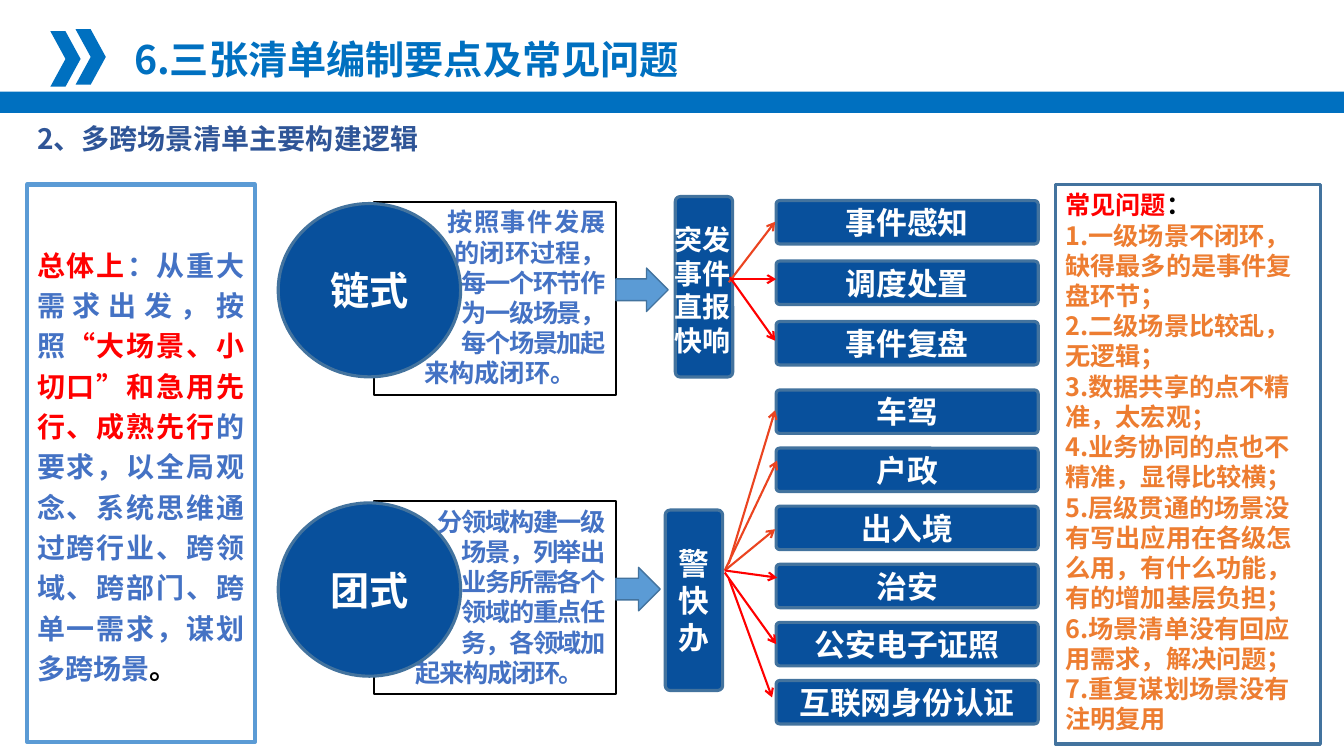
from pptx import Presentation
from pptx.dml.color import RGBColor
from pptx.enum import shapes, text
from pptx.oxml import ns
from pptx.util import Pt
from lxml import etree

FONT = "Noto Sans CJK SC"
WHITE = RGBColor(0xFF, 0xFF, 0xFF)
BLACK = RGBColor(0, 0, 0)
RED = RGBColor(0xFF, 0, 0)
VERMILION = RGBColor(0xEB, 0x44, 0x20)
ORANGE = RGBColor(0xED, 0x7D, 0x31)
BRIGHT = RGBColor(0x00, 0x70, 0xC0)
NAVY = RGBColor(0x08, 0x50, 0x9C)
STEEL = RGBColor(0x43, 0x73, 0x9E)
SKY = RGBColor(0x5B, 0x9B, 0xD5)
BLUE = RGBColor(0x44, 0x72, 0xC4)
HEADING = RGBColor(0x2F, 0x55, 0x97)

MSO = shapes.MSO_SHAPE
ALIGN = text.PP_ALIGN
ANCHOR = text.MSO_ANCHOR


def write(tf, paragraphs, size, align=ALIGN.LEFT, anchor=ANCHOR.TOP, spacing=1.0):
    frame_format = {"word_wrap": True, "auto_size": text.MSO_AUTO_SIZE.NONE,
                    "vertical_anchor": anchor}
    for name, value in frame_format.items():
        setattr(tf, name, value)
    for i, runs in enumerate(paragraphs):
        p = tf.add_paragraph() if i else tf.paragraphs[0]
        para_format = {"alignment": align, "line_spacing": spacing, "space_before": Pt(0)}
        for name, value in para_format.items():
            setattr(p, name, value)
        for words, color in runs:
            r = p.add_run()
            r.text = words
            for name, value in {"name": FONT, "size": Pt(size), "bold": True}.items():
                setattr(r.font, name, value)
            r.font.color.rgb = color
            etree.SubElement(r._r.get_or_add_rPr(), ns.qn("a:ea")).set("typeface", FONT)


def draw(kind, box, fill=None, line=None, width=2.25):
    sp = s.shapes.add_shape(kind, *map(Pt, box))
    sp.shadow.inherit = False
    if fill is None:
        sp.fill.background()
    else:
        sp.fill.solid()
        sp.fill.fore_color.rgb = fill
    if line is None:
        sp.line.fill.background()
    else:
        sp.line.color.rgb = line
        sp.line.width = Pt(width)
    if kind == MSO.ROUNDED_RECTANGLE:
        sp.adjustments[0] = 0.084
    return sp


prs = Presentation()
prs.slide_width, prs.slide_height = Pt(960), Pt(540)
s = prs.slides.add_slide(prs.slide_layouts[1])
title, problems = s.placeholders
for sp, box in ((title, (88.6, 21.6, 700, 41)), (problems, (753.8, 131.8, 189.4, 399.6))):
    for name, value in zip(("left", "top", "width", "height"), box):
        setattr(sp, name, Pt(value))

write(title.text_frame, [[("6.三张清单编制要点及常见问题", BRIGHT)]], 28)
draw(MSO.RECTANGLE, (0, 65.5, 960, 15.1), BRIGHT)
for x, y in ((36, 22.3), (54, 20.9)):
    draw(MSO.CHEVRON, (x, y, 21.6, 39.6), BRIGHT)

sp = s.shapes.add_textbox(Pt(19.4), Pt(83.5), Pt(700), Pt(31.7))
write(sp.text_frame, [[("2、多跨场景清单主要构建逻辑", HEADING)]], 20)

sp = draw(MSO.RECTANGLE, (19.4, 131.8, 162.7, 398.2), WHITE, SKY, 3)
write(sp.text_frame, [[
    ("总体上", RED),
    ("：从重大需求出发，按照", BLUE),
    ("“大场景、小切口”和急用先行、成熟先行", RED),
    ("的要求，以全局观念、系统思维通过跨行业、跨领域、跨部门、跨单一需求，谋划多跨场景", BLUE),
    ("。", BLACK),
]], 20, ALIGN.JUSTIFY, ANCHOR.MIDDLE, 1.2)

modes = [
    ("链式", 144, 37.4, 29, [("按照事件发展", 100), ("的闭环过程，", 0), ("每一个环节作", -100),
                           ("为一级场景，", -100), ("每个场景加起", -100), ("来构成闭环。", 0)]),
    ("团式", 357.8, 31.7, 23, [("分领域构建一级", -100), ("场景，列举出", -100), ("业务所需各个", -100),
                             ("领域的重点任", -100), ("务，各领域加", -100), ("起来构成闭环。", -100)]),
]
for name, top, arrow_width, indent, lines in modes:
    sp = draw(MSO.RECTANGLE, (267.1, top, 172.8, 138.2), None, BLACK, 1.5)
    write(sp.text_frame, [[(words, BLUE)] for words, _ in lines], 18, ALIGN.RIGHT)
    for p, (_, tracking) in zip(sp.text_frame.paragraphs, lines):
        p.runs[0].font._element.set("spc", str(tracking))
    p.alignment = ALIGN.LEFT
    p._p.get_or_add_pPr().set("marL", str(Pt(indent)))
    sp = draw(MSO.OVAL, (198.7, top + 1.4, 130.3, 123.8), NAVY, STEEL)
    write(sp.text_frame, [[(name, WHITE)]], 28, ALIGN.CENTER, ANCHOR.MIDDLE)
    draw(MSO.RIGHT_ARROW, (439.9, top + 47.5, arrow_width, 31), SKY, STEEL, 1)

draw(MSO.ROUNDED_RECTANGLE, (482.4, 140.4, 41, 128.9), NAVY, STEEL)
sp = s.shapes.add_textbox(Pt(474.5), Pt(155.5), Pt(56.2), Pt(128.2))
write(sp.text_frame, [[("突发事件直报快响", WHITE)]], 20)
sp = draw(MSO.ROUNDED_RECTANGLE, (475.2, 364.3, 41, 128.9), NAVY, STEEL)
write(sp.text_frame, [[("警快办", WHITE)]], 22, ALIGN.CENTER, ANCHOR.MIDDLE)

groups = [
    (143.3, 43.2, ["事件感知", "调度处置", "事件复盘"]),
    (278.6, 41.5, ["车驾", "户政", "出入境", "治安", "公安电子证照", "互联网身份认证"]),
]
for top, pitch, scenes in groups:
    for i, scene in enumerate(scenes):
        sp = draw(MSO.ROUNDED_RECTANGLE, (554.4, top + i * pitch, 187.2, 31), NAVY, STEEL)
        write(sp.text_frame, [[(scene, WHITE)]], 22, ALIGN.CENTER, ANCHOR.MIDDLE)

arrows = [
    (520.6, 201.6, 553.7, 158.4, VERMILION),
    (521.3, 199.4, 554.4, 199.4, RED),
    (521.3, 198, 553.7, 243.4, RED),
    (520.6, 402.5, 553.7, 293, VERMILION),
    (517.7, 407.5, 555.1, 329, VERMILION),
    (517.7, 407.5, 553.7, 378, VERMILION),
    (517.7, 407.5, 555.1, 412.6, RED),
    (517.7, 409, 554.4, 460.1, RED),
    (520.6, 413.3, 551.5, 498.2, RED),
]
for *ends, color in arrows:
    cxn = s.shapes.add_connector(shapes.MSO_CONNECTOR.STRAIGHT, *map(Pt, ends))
    cxn.line.color.rgb = color
    cxn.line.width = Pt(1.5)
    etree.SubElement(cxn.line._get_or_add_ln(), ns.qn("a:tailEnd")).set("type", "arrow")
    etree.SubElement(cxn._element.spPr, ns.qn("a:effectLst"))

problems.line.color.rgb = STEEL
problems.line.width = Pt(2.25)
items = [
    "1.一级场景不闭环，缺得最多的是事件复盘环节；",
    "2.二级场景比较乱，无逻辑；",
    "3.数据共享的点不精准，太宏观；",
    "4.业务协同的点也不精准，显得比较横；",
    "5.层级贯通的场景没有写出应用在各级怎么用，有什么功能，有的增加基层负担；",
    "6.场景清单没有回应用需求，解决问题；",
    "7.重复谋划场景没有注明复用",
]
write(problems.text_frame,
      [[("常见问题", RED), ("：", BLACK)]] + [[(item, ORANGE)] for item in items], 18)
for p in problems.text_frame.paragraphs:
    pPr = p._p.get_or_add_pPr()
    for name in ("marL", "indent"):
        pPr.set(name, "0")
    etree.SubElement(pPr, ns.qn("a:buNone"))

prs.save("out.pptx")
